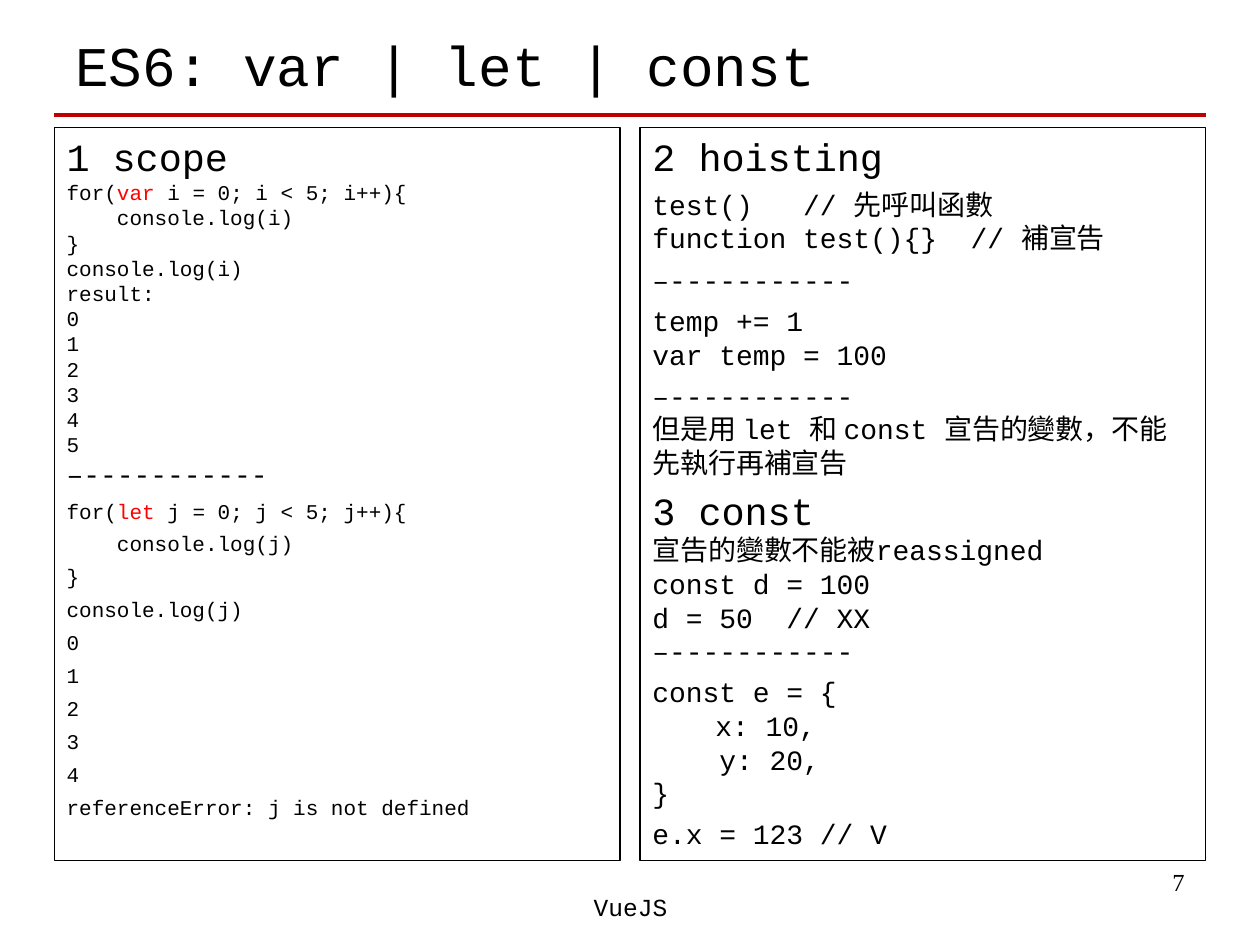
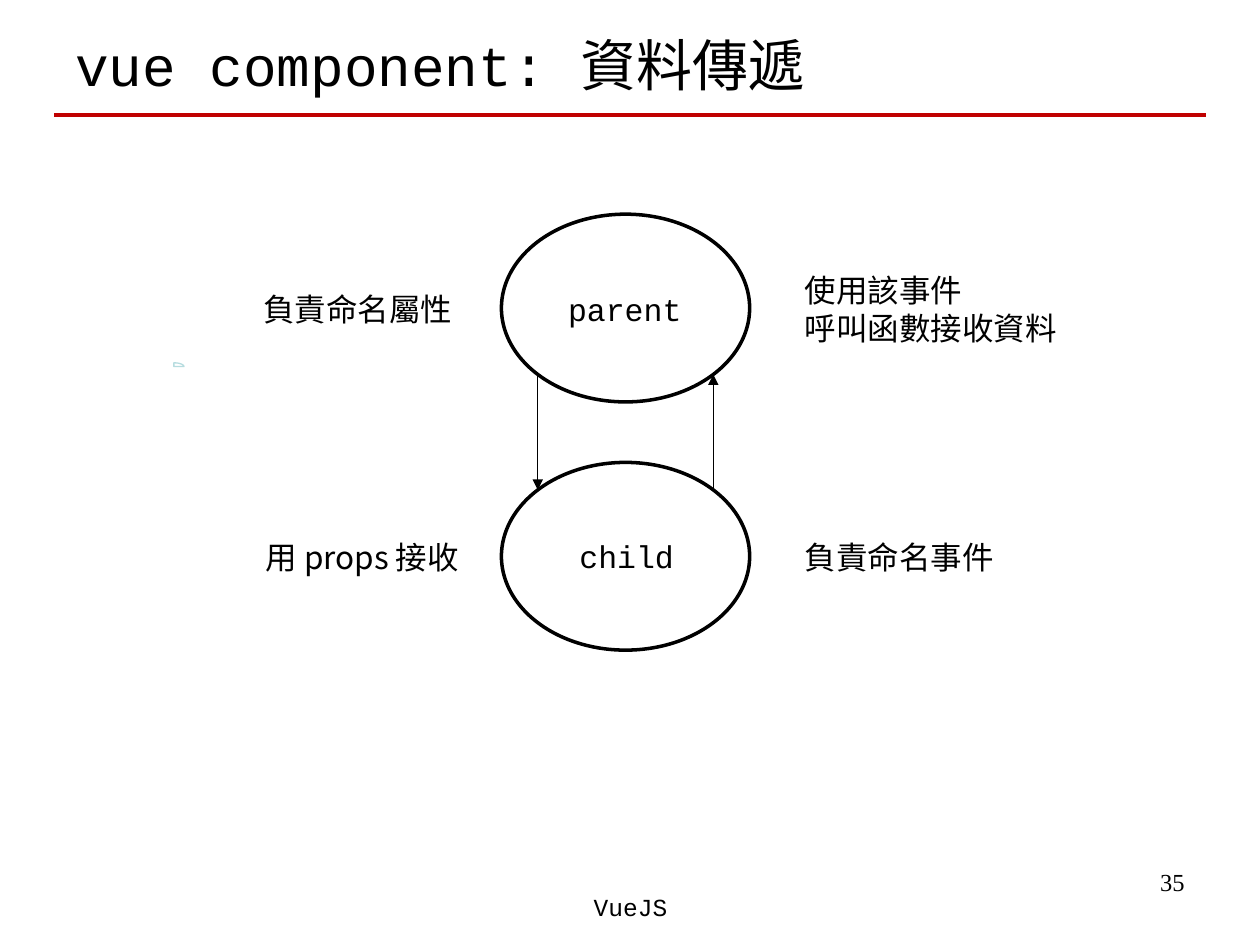
from dataclasses import dataclass
from math import cos, pi, sin

from lxml.etree import SubElement
from pptx import Presentation
from pptx.dml.color import RGBColor
from pptx.enum.shapes import MSO_CONNECTOR, MSO_SHAPE
from pptx.enum.text import MSO_ANCHOR, PP_ALIGN
from pptx.oxml.ns import qn
from pptx.util import Emu, Inches, Pt


@dataclass(frozen=True)
class Theme:
    ink: RGBColor = RGBColor(0, 0, 0)
    keyword: RGBColor = RGBColor(255, 0, 0)
    rule: RGBColor = RGBColor(0xC0, 0, 0)
    mark: RGBColor = RGBColor(0xB6, 0xDC, 0xDF)
    code_font: str = "Courier New"
    chinese_font: str = "Noto Sans CJK TC"
    number_font: str = "Times New Roman"
    title: int = 32
    heading: int = 22
    label: int = 18
    body: int = 16
    footer: int = 14
    small: int = 12
    gap: float = 4.4
    thin: float = 0.75
    outline: float = 2
    band: float = 2.25


theme = Theme()
presentation = Presentation()
presentation.slide_width, presentation.slide_height = Inches(10), Inches(7.5)
column = presentation.slide_width / 100
row = presentation.slide_height / 75


def place(left, top, width, height):
    return [Emu(round(length)) for length in (left * column, top * row, width * column, height * row)]


def write(text_frame, paragraphs, font=theme.code_font, alignment=PP_ALIGN.LEFT):
    text_frame.word_wrap = True
    for index, (space, lines) in enumerate(paragraphs):
        paragraph = text_frame.add_paragraph() if index else text_frame.paragraphs[0]
        paragraph.alignment = alignment
        paragraph.space_before = Pt(space)
        for line_index, (size, text) in enumerate(lines):
            if line_index:
                paragraph.add_line_break()
                line_break = paragraph._p.findall(qn("a:br"))[-1]
                SubElement(line_break, qn("a:rPr")).set("sz", str(lines[line_index - 1][0] * 100))
            for part_index, part in enumerate(text.split("*")):
                run = paragraph.add_run()
                run.text = part
                run.font.size = Pt(size)
                run.font.name = font
                run.font.color.rgb = theme.keyword if part_index % 2 else theme.ink
                east_asian = SubElement(run._r.get_or_add_rPr(), qn("a:ea"))
                east_asian.set("typeface", theme.chinese_font)


divider = (theme.body, "–-----------")
scope_start = [(0, [(theme.heading, "1 scope"), (theme.small, "for(*var* i = 0; i < 5; i++){")])]
scope_start += [
    (0, [(theme.small, text)])
    for text in ["    console.log(i)", "}", "console.log(i)", "result:", "0", "1", "2", "3", "4"]
]
scope_start.append((0, [(theme.small, "5"), divider]))
scope_end = [
    (theme.gap, [(theme.small, text)])
    for text in [
        "for(*let* j = 0; j < 5; j++){", "    console.log(j)", "}", "console.log(j)",
        "0", "1", "2", "3", "4", "referenceError: j is not defined",
    ]
]
hoisting_and_const = [
    (0, [(theme.heading, "2 hoisting")]),
    (theme.gap, [(theme.body, "test()   // 先呼叫函數"), (theme.body, "function test(){}  // 補宣告")]),
    (theme.gap, [divider]),
    (theme.gap, [(theme.body, "temp += 1"), (theme.body, "var temp = 100")]),
    (theme.gap, [divider, (theme.body, "但是用 let 和 const 宣告的變數，不能先執行再補宣告")]),
    (theme.gap, [
        (theme.heading, "3 const"),
        (theme.body, "宣告的變數不能被reassigned"),
        (theme.body, "const d = 100"),
        (theme.body, "d = 50  // XX"),
        divider,
    ]),
    (theme.gap, [(theme.body, text) for text in ["const e = {", "\tx: 10,", "    y: 20,", "}"]]),
    (theme.gap, [(theme.body, "e.x = 123 // V")]),
]

slides = []
connectors = []
for title, number in [("ES6: var | let | const", "7"), ("vue component: 資料傳遞", "35")]:
    slide = presentation.slides.add_slide(presentation.slide_layouts[6])
    slides.append(slide)
    number_box = slide.shapes.add_textbox(*place(71.7, 68.3, 23.3, 5.2))
    write(number_box.text_frame, [(0, [(theme.footer, number)])], theme.number_font, PP_ALIGN.RIGHT)
    title_box = slide.shapes.add_textbox(*place(5, 1.25, 90, 7.6))
    title_box.text_frame.vertical_anchor = MSO_ANCHOR.MIDDLE
    write(title_box.text_frame, [(0, [(theme.title, title)])])
    title_rule = slide.shapes.add_connector(MSO_CONNECTOR.STRAIGHT, *place(4.3, 9.1, 95.7, 9.1))
    title_rule.line.color.rgb = theme.rule
    title_rule.line.width = Pt(theme.band)
    connectors.append(title_rule)
    footer_box = slide.shapes.add_textbox(*place(34.2, 70.3, 31.7, 5))
    write(footer_box.text_frame, [(0, [(theme.footer, "VueJS")])], alignment=PP_ALIGN.CENTER)

code_slide, component_slide = slides

for left, paragraphs in [(4.3, scope_start + scope_end), (50.8, hoisting_and_const)]:
    panel = code_slide.shapes.add_shape(MSO_SHAPE.RECTANGLE, *place(left, 10.1, 44.9, 58.2))
    panel.shadow.inherit = False
    panel.fill.background()
    panel.line.color.rgb = theme.ink
    panel.line.width = Pt(theme.thin)
    panel.text_frame.vertical_anchor = MSO_ANCHOR.TOP
    write(panel.text_frame, paragraphs)

arc_points = [
    place(13.8 + 0.8 * sin(step * pi / 16), 29.1 - 0.3 * cos(step * pi / 16), 0, 0)[:2]
    for step in range(9)
]
builder = component_slide.shapes.build_freeform(*arc_points[0])
builder.add_line_segments(arc_points[1:] + [place(13.8, 29.1, 0, 0)[:2]], close=True)
arc_mark = builder.convert_to_shape()
arc_mark.shadow.inherit = False
arc_mark.fill.background()
arc_mark.line.color.rgb = theme.mark
arc_mark.line.width = Pt(theme.thin)

diagram = component_slide.shapes.add_group_shape()
oval_left, oval_width, oval_height = 39.8, 19.7, 14.9
parent_top, child_top = 17, 36.7
for top in (parent_top, child_top):
    oval = diagram.shapes.add_shape(MSO_SHAPE.OVAL, *place(oval_left, top, oval_width, oval_height))
    oval.shadow.inherit = False
    oval.fill.background()
    oval.line.color.rgb = theme.ink
    oval.line.width = Pt(theme.outline)

corner = (1 - cos(pi / 4)) / 2
left_side = oval_left + oval_width * corner
right_side = oval_left + oval_width * (1 - corner)
parent_edge = parent_top + oval_height * (1 - corner)
child_edge = child_top + oval_height * corner
for side, start, end in [(left_side, parent_edge, child_edge), (right_side, child_edge, parent_edge)]:
    arrow = diagram.shapes.add_connector(MSO_CONNECTOR.STRAIGHT, *place(side, start, side, end))
    arrow.line.color.rgb = theme.ink
    arrow.line.width = Pt(theme.thin)
    SubElement(arrow._element.spPr.find(qn("a:ln")), qn("a:tailEnd")).set("type", "triangle")
    connectors.append(arrow)

for connector in connectors:
    SubElement(connector._element.spPr, qn("a:effectLst"))

for shapes, font, left, top, width, lines in [
    (diagram.shapes, theme.code_font, 44.1, 22.5, 11.5, ["parent"]),
    (diagram.shapes, theme.code_font, 45, 42.1, 10, ["child"]),
    (component_slide.shapes, theme.chinese_font, 19.9, 22.5, 18, ["負責命名屬性"]),
    (component_slide.shapes, theme.chinese_font, 62.9, 42.2, 18, ["負責命名事件"]),
    (component_slide.shapes, theme.chinese_font, 20.1, 42.2, 19.7, ["用 props 接收"]),
    (component_slide.shapes, theme.chinese_font, 62.9, 21, 24.9, ["使用該事件", "呼叫函數接收資料"]),
]:
    label = shapes.add_textbox(*place(left, top, width, 0.9 + 3.1 * len(lines)))
    write(label.text_frame, [(0, [(theme.label, line) for line in lines])], font)

presentation.save("out.pptx")
